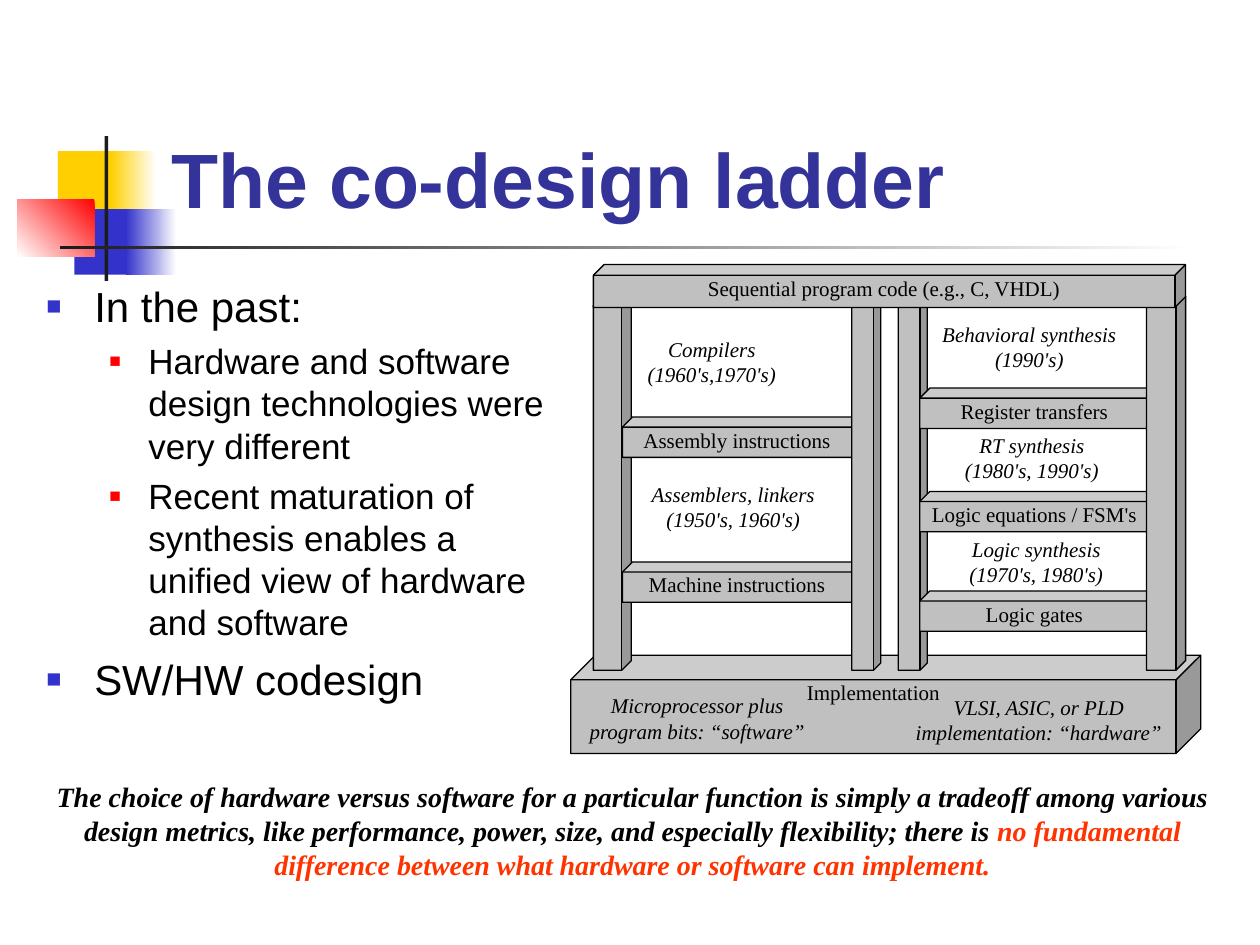
from lxml.etree import SubElement
from pptx import Presentation
from pptx.dml.color import RGBColor
from pptx.enum.shapes import MSO_SHAPE as Shape
from pptx.enum.text import MSO_ANCHOR as Anchor, PP_ALIGN as Align
from pptx.oxml.ns import qn
from pptx.util import Inches, Pt

COLORS = {
    "white": "FFFFFF", "black": "000000", "ink": "1C1C1C", "yellow": "FFCF01",
    "blue": "3333CC", "red": "FF0000", "title": "333399", "gray": "C0C0C0",
    "accent": "FF3300",
}
SANS, SERIF = "Arial", "Times New Roman"

# left, top, width, height, colours from start to end, clockwise angle
ORNAMENT = [
    (0.46, 1.2, 0.48, 0.52, ["yellow"], 0),
    (0.88, 1.2, 0.36, 0.52, ["white", "yellow"], 180),
    (0.59, 1.66, 0.46, 0.52, ["blue"], 0),
    (1, 1.66, 0.4, 0.52, ["white", "blue"], 180),
    (0.14, 1.58, 0.61, 0.46, ["red", "white"], 135),
    (0.83, 1.08, 0.03, 1.15, ["ink"], 0),
    (0.48, 1.95, 9, 0.03, ["white", "ink"], 180),
]

TITLE = "The co-design ladder"
OUTLINE = [
    (0, "In the past:"),
    (1, "Hardware and software design technologies were very different"),
    (1, "Recent maturation of synthesis enables a unified view of hardware and software"),
    (0, "SW/HW codesign"),
]
# per level: size, left margin, hanging indent, space before, bullet colour, bullet %
LEVELS = [(24, 0.38, 0.38, 6, "blue", 60), (20, 0.81, 0.31, 5, "red", 55)]

BASE = (4.53, 5.2, 5, 0.78, "Implementation")
BEAM = (4.71, 2.1, 4.7, 0.34, "Sequential program code (e.g., C, VHDL)")
RAIL_TOP, RAIL_HEIGHT = 2.35, 2.97
RUNG_WIDTH, RUNG_HEIGHT = 1.9, 0.32
# rail as (left, width); rungs as (top, label)
LADDERS = [
    {"left_rail": (4.71, 0.3), "right_rail": (6.76, 0.23), "rung_left": 4.94,
     "rungs": [(3.31, "Assembly instructions"), (4.46, "Machine instructions")]},
    {"left_rail": (7.13, 0.23), "right_rail": (9.1, 0.31), "rung_left": 7.3,
     "rungs": [(3.08, "Register transfers"), (3.9, "Logic equations / FSM's"),
               (4.69, "Logic gates")]},
]
STEPS = [
    (5.05, 2.67, 1.2, 0.43, "Compilers\n(1960's,1970's)"),
    (5.01, 3.82, 1.62, 0.53, "Assemblers, linkers\n(1950's, 1960's)"),
    (7.37, 2.55, 1.6, 0.44, "Behavioral synthesis\n(1990's)"),
    (7.52, 3.43, 1.34, 0.47, "RT synthesis\n(1980's, 1990's)"),
    (7.52, 4.26, 1.41, 0.42, "Logic synthesis\n(1970's, 1980's)"),
    (4.57, 5.5, 1.93, 0.52, "Microprocessor plus program bits: “software”"),
    (7.25, 5.51, 1.99, 0.41, "VLSI, ASIC, or PLD implementation: “hardware”"),
]
CONCLUSION = [
    ("The choice of hardware versus software for a particular function is simply "
     "a tradeoff among various design metrics, like performance, power, size, "
     "and especially flexibility; there is ", "black"),
    ("no fundamental difference between what hardware or software can implement.",
     "accent"),
]


def rgb(name):
    return RGBColor.from_string(COLORS[name])


def style(font, face, size, color="black", bold=False, italic=False):
    font.name, font.size = face, Pt(size)
    font.bold, font.italic = bold, italic
    font.color.rgb = rgb(color)


def prepare(frame, anchor=Anchor.TOP, inset=(0, 0)):
    """Wrap the text and set the (horizontal, vertical) insets."""
    frame.word_wrap = True
    frame.vertical_anchor = anchor
    frame.margin_left = frame.margin_right = Inches(inset[0])
    frame.margin_top = frame.margin_bottom = Inches(inset[1])


def add_text_frame(slide, box, **layout):
    frame = slide.shapes.add_textbox(*map(Inches, box)).text_frame
    prepare(frame, **layout)
    return frame


def write_label(frame, text, italic=False):
    frame.text = text
    for paragraph in frame.paragraphs:
        paragraph.alignment = Align.CENTER
        for run in paragraph.runs:
            style(run.font, SERIF, 12, italic=italic)


def add_ornament(slide, left, top, width, height, colors, angle):
    block = slide.shapes.add_shape(
        Shape.RECTANGLE, *map(Inches, (left, top, width, height)))
    block.shadow.inherit = False
    block.line.fill.background()
    if len(colors) == 1:
        block.fill.solid()
        block.fill.fore_color.rgb = rgb(colors[0])
        return
    block.fill.gradient()
    block.fill.gradient_angle = 360 - angle
    for stop, color in zip(block.fill.gradient_stops, colors):
        stop.color.rgb = rgb(color)


def add_beam(slide, left, top, width, height, label=""):
    beam = slide.shapes.add_shape(
        Shape.CUBE, *map(Inches, (left, top, width, height)))
    beam.adjustments[0] = 0.25
    beam.shadow.inherit = False
    beam.fill.solid()
    beam.fill.fore_color.rgb = rgb("gray")
    beam.line.color.rgb = rgb("black")
    beam.line.width = Pt(0.75)
    if label:
        prepare(beam.text_frame)
        write_label(beam.text_frame, label)


def add_bullet(paragraph, margin, hanging, color, percent):
    props = paragraph._p.get_or_add_pPr()
    props.set("marL", str(Inches(margin)))
    props.set("indent", str(-Inches(hanging)))
    bullet_color = SubElement(props, qn("a:buClr"))
    SubElement(bullet_color, qn("a:srgbClr"), val=COLORS[color])
    SubElement(props, qn("a:buSzPct"), val=str(percent * 1000))
    SubElement(props, qn("a:buFont"), typeface=SANS)
    SubElement(props, qn("a:buChar"), char="■")


def add_outline(slide):
    frame = add_text_frame(slide, (0.27, 2.18, 4.33, 4.17), inset=(0.1, 0.05))
    frame.text = "\n".join(text for _, text in OUTLINE)
    for index, (paragraph, (level, _)) in enumerate(zip(frame.paragraphs, OUTLINE)):
        size, margin, hanging, before, color, percent = LEVELS[level]
        paragraph.level = level
        add_bullet(paragraph, margin, hanging, color, percent)
        if index:
            paragraph.space_before = Pt(before)
        style(paragraph.runs[0].font, SANS, size)


def add_ladders(slide):
    add_beam(slide, *BASE)
    for ladder in LADDERS:
        left, width = ladder["left_rail"]
        add_beam(slide, left, RAIL_TOP, width, RAIL_HEIGHT)
        for top, label in ladder["rungs"]:
            add_beam(slide, ladder["rung_left"], top, RUNG_WIDTH, RUNG_HEIGHT, label)
        left, width = ladder["right_rail"]
        add_beam(slide, left, RAIL_TOP, width, RAIL_HEIGHT)
    add_beam(slide, *BEAM)
    for *box, text in STEPS:
        write_label(add_text_frame(slide, box), text, italic=True)


def main():
    deck = Presentation()
    deck.slide_width, deck.slide_height = Inches(10), Inches(7.5)
    slide = deck.slides.add_slide(deck.slide_layouts[6])

    for block in ORNAMENT:
        add_ornament(slide, *block)

    title = add_text_frame(slide, (1.26, 0.23, 8.52, 1.6),
                           anchor=Anchor.BOTTOM, inset=(0.1, 0.05))
    title.text = TITLE
    style(title.paragraphs[0].runs[0].font, SANS, 44, "title", bold=True)

    add_outline(slide)
    add_ladders(slide)

    conclusion = add_text_frame(slide, (0.27, 6.27, 9.5, 0.64),
                                anchor=Anchor.MIDDLE).paragraphs[0]
    conclusion.alignment = Align.CENTER
    for text, color in CONCLUSION:
        run = conclusion.add_run()
        run.text = text
        style(run.font, SERIF, 16, color, bold=True, italic=True)

    deck.save("out.pptx")


if __name__ == "__main__":
    main()
